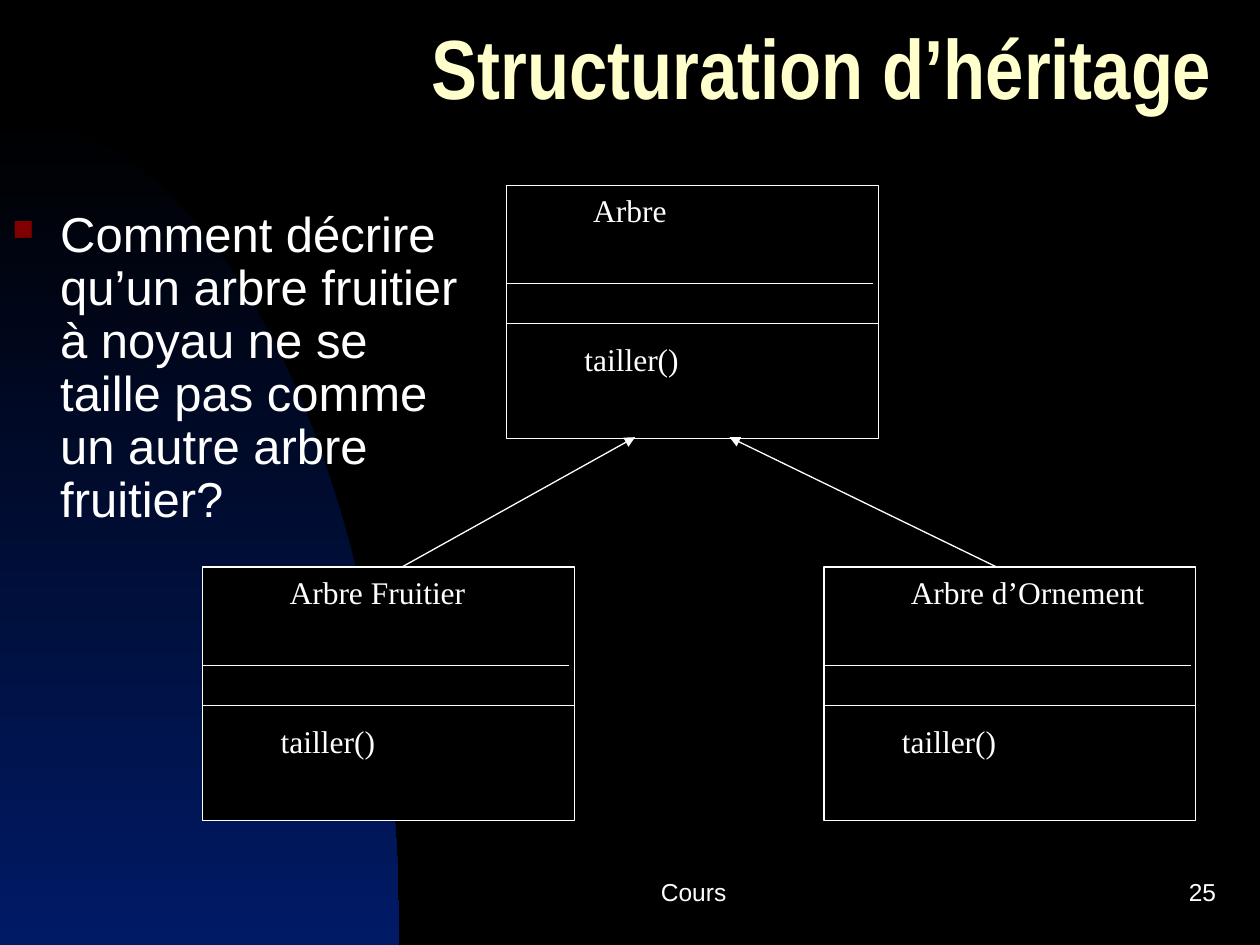
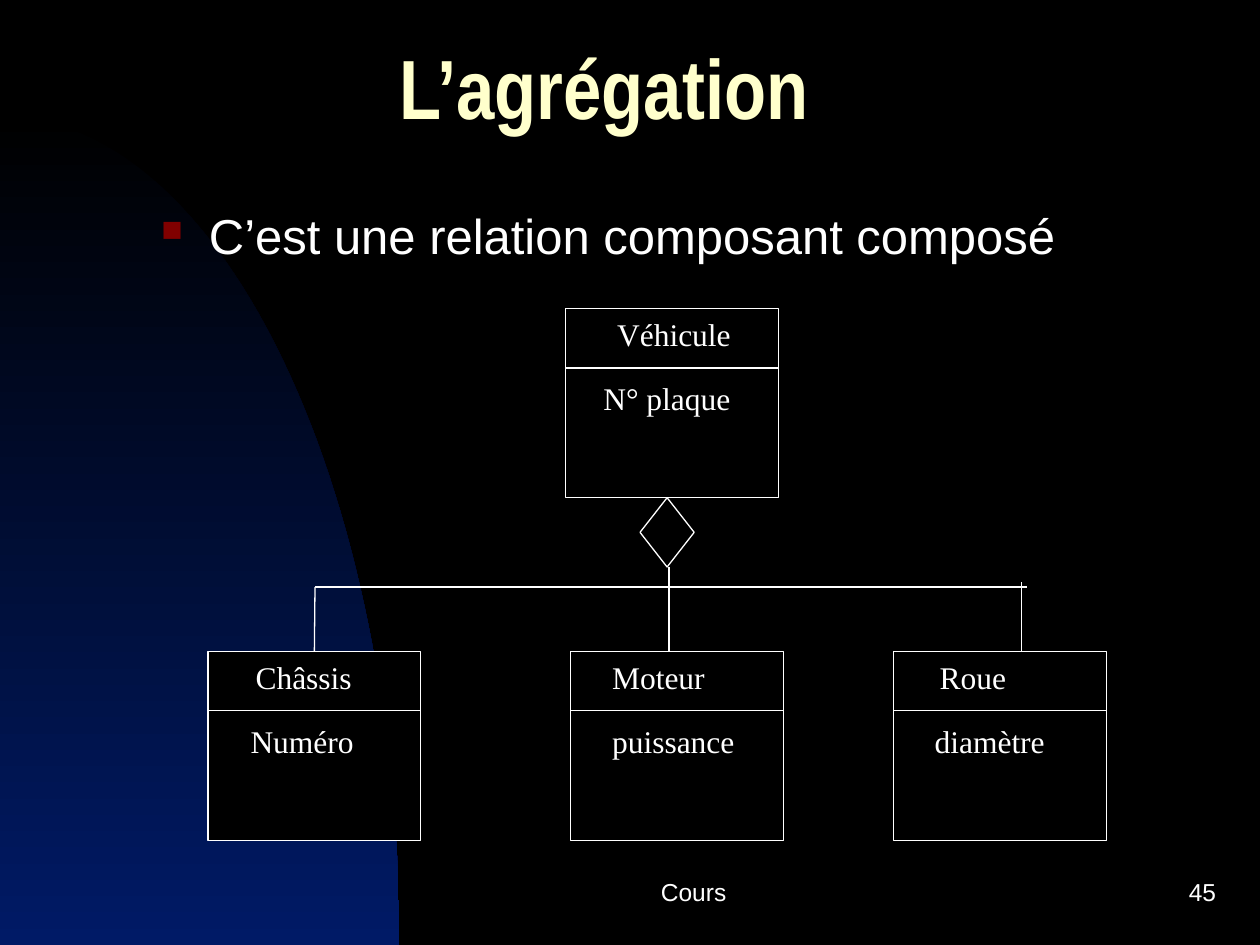
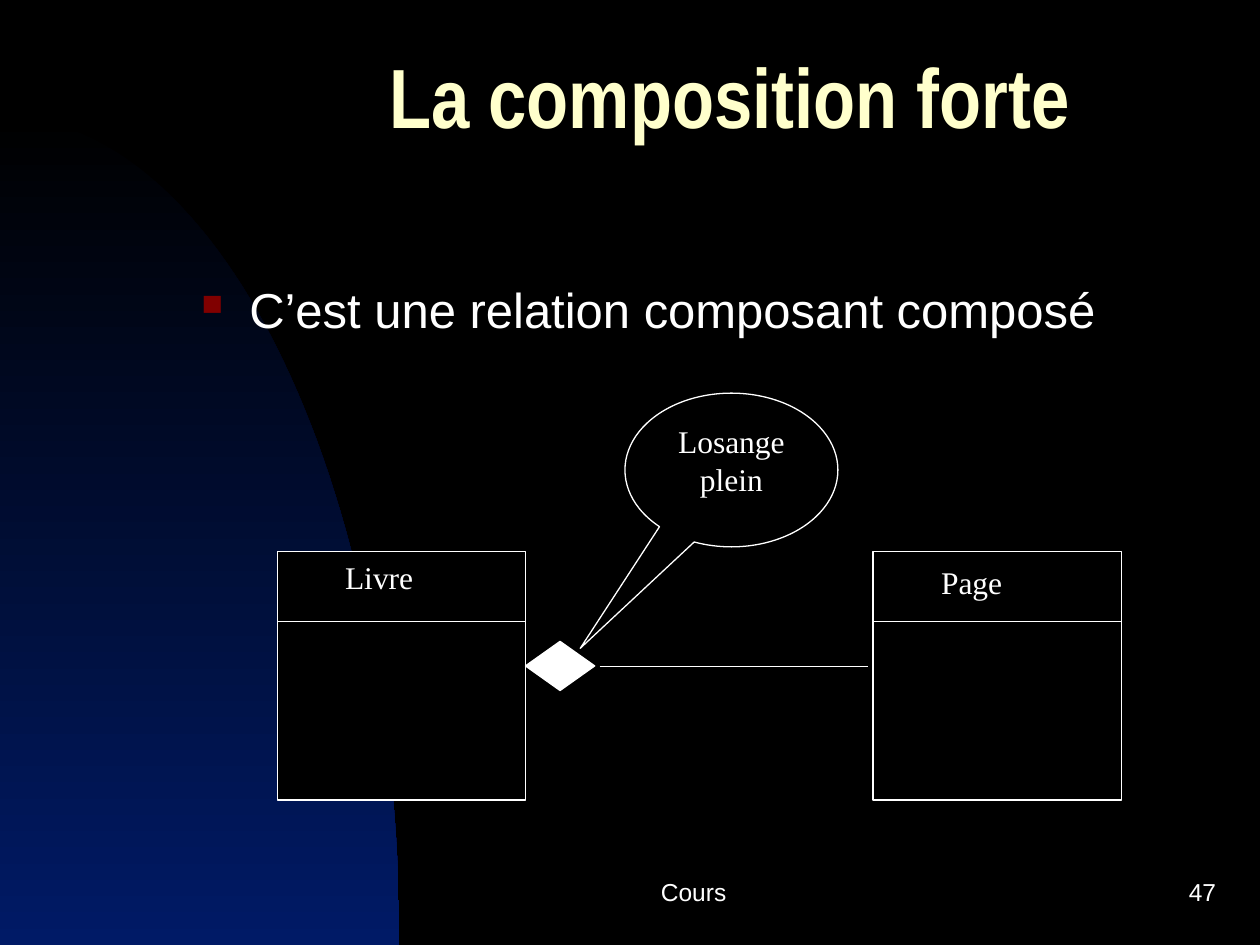
from dataclasses import dataclass
from math import cos, pi, sin

from lxml import etree
from pptx import Presentation
from pptx.dml.color import RGBColor
from pptx.enum.shapes import MSO_CONNECTOR as Connector, MSO_SHAPE as Preset
from pptx.enum.text import MSO_ANCHOR as Anchor, PP_ALIGN as Align
from pptx.oxml.ns import qn
from pptx.util import Inches, Pt


@dataclass(frozen=True)
class Theme:
    black: str = "000000"
    white: str = "FFFFFF"
    title: str = "FFFFCC"
    bullet: str = "800000"
    glow: str = "001A66"
    title_font: str = "Arial Narrow"
    body_font: str = "Arial"
    label_font: str = "Times New Roman"
    title_size: int = 48
    body_size: int = 28
    label_size: int = 18
    footer_size: int = 14
    line_width: float = 0.75


THEME = Theme()
FOOTER = "Cours"
BULLET_INDENT = Inches(0.38)


def rgb(color):
    return RGBColor.from_string(color)


def inches(*values):
    return [Inches(value) for value in values]


# Basic parts
def style_text(frame, text, font, size, color=THEME.white, bold=False, align=Align.LEFT):
    frame.word_wrap = True
    frame.text = text
    para = frame.paragraphs[0]
    para.alignment = align
    for span in para.runs:
        span.font.name = font
        span.font.size = Pt(size)
        span.font.bold = bold
        span.font.color.rgb = rgb(color)
    return para


def add_text(page, box, text, font, size, anchor=Anchor.TOP, **style):
    frame = page.shapes.add_textbox(*inches(*box)).text_frame
    frame.vertical_anchor = anchor
    return style_text(frame, text, font, size, **style)


def add_outline(page, preset, box, fill=THEME.black):
    shape = page.shapes.add_shape(preset, *inches(*box))
    shape.shadow.inherit = False
    if fill:
        shape.fill.solid()
        shape.fill.fore_color.rgb = rgb(fill)
    else:
        shape.fill.background()
    shape.line.color.rgb = rgb(THEME.white)
    shape.line.width = Pt(THEME.line_width)
    return shape


def add_line(page, start, end, arrow=False):
    line = page.shapes.add_connector(Connector.STRAIGHT, *inches(*start, *end))
    line.line.color.rgb = rgb(THEME.white)
    line.line.width = Pt(THEME.line_width)
    if arrow:
        etree.SubElement(line.line._get_or_add_ln(), qn("a:tailEnd"), type="triangle")
    etree.SubElement(line._element.spPr, qn("a:effectLst"))
    return line


# Shared page regions
def draw_backdrop(page):
    page.background.fill.solid()
    page.background.fill.fore_color.rgb = rgb(THEME.black)
    radius_x, top, bottom, steps = 3.17, 0.92, 7.5, 60
    angles = [pi / 2 * step / steps for step in range(steps + 1)]
    arc = [inches(radius_x * sin(angle), bottom - (bottom - top) * cos(angle))
           for angle in angles]
    builder = page.shapes.build_freeform(*arc[0])
    builder.add_line_segments(arc[1:] + [inches(0, bottom)], close=True)
    curve = builder.convert_to_shape()
    curve.shadow.inherit = False
    curve.line.fill.background()
    curve.fill.gradient()
    curve.fill.gradient_angle = 270
    for stop, color, position in zip(curve.fill.gradient_stops,
                                     (THEME.black, THEME.glow), (0, 1)):
        stop.color.rgb = rgb(color)
        stop.position = position


def draw_title(page, box, text):
    para = add_text(page, box, text, THEME.title_font, THEME.title_size,
                    anchor=Anchor.MIDDLE, color=THEME.title, bold=True)
    para.line_spacing = 0.7


def draw_bullet(page, box, text, line_spacing=1.0):
    para = add_text(page, box, text, THEME.body_font, THEME.body_size)
    props = para._p.get_or_add_pPr()
    props.set("marL", str(BULLET_INDENT))
    props.set("indent", str(-BULLET_INDENT))
    color = etree.SubElement(props, qn("a:buClr"))
    etree.SubElement(color, qn("a:srgbClr"), val=THEME.bullet)
    etree.SubElement(props, qn("a:buSzPct"), val="60000")
    etree.SubElement(props, qn("a:buChar"), char="■")
    para.line_spacing = line_spacing


def draw_footer(page, number):
    for box, text, align in (((3.92, 6.83, 3.17, 0.5), FOOTER, Align.CENTER),
                             ((7.67, 6.83, 2.08, 0.5), str(number), Align.RIGHT)):
        add_text(page, box, text, THEME.body_font, THEME.footer_size,
                 anchor=Anchor.MIDDLE, align=align)


def start_page(deck, number, title, title_box, bullet, bullet_box, line_spacing=1.0):
    page = deck.slides.add_slide(deck.slide_layouts[6])
    draw_backdrop(page)
    draw_title(page, title_box, title)
    draw_bullet(page, bullet_box, bullet, line_spacing)
    draw_footer(page, number)
    return page


# Class box: dividers are (offset, length), labels are (text, left, top, width)
def draw_class(page, box, dividers, labels):
    left, top = box[:2]
    frame = add_outline(page, Preset.RECTANGLE, box)
    for offset, length in dividers:
        add_line(page, (left, top + offset), (left + length, top + offset))
    for text, label_left, label_top, width in labels:
        add_text(page, (left + label_left, top + label_top, width, 0.4), text,
                 THEME.label_font, THEME.label_size)
    return frame


def build_inheritance(deck):
    page = start_page(
        deck, 25, "Structuration d’héritage", (3.33, 0, 6.67, 1.25),
        "Comment décrire qu’un arbre fruitier à noyau ne se taille pas comme "
        "un autre arbre fruitier?", (0, 1.62, 3.74, 2.64), line_spacing=0.9)
    width, height = 2.95, 2.01
    for name, left, top in (("Arbre", 4.02, 1.47),
                            ("Arbre Fruitier", 1.61, 4.5),
                            ("Arbre d’Ornement", 6.54, 4.5)):
        draw_class(page, (left, top, width, height),
                   [(0.78, 2.91), (1.1, width)],
                   [(name, 0.59, 0, 2.09), ("tailler()", 0.52, 1.18, 2.16)])
    # Inheritance arrows
    for child_x, parent_x in ((3.19, 5.04), (7.91, 5.79)):
        add_line(page, (child_x, 4.5), (parent_x, 3.47), arrow=True)


def build_aggregation(deck):
    page = start_page(
        deck, 45, "L’agrégation", (3.07, 0.32, 6.67, 0.92),
        "C’est une relation composant composé", (1.18, 1.58, 8.49, 0.76))
    width, height, part_top = 1.69, 1.5, 5.17
    frames = {}
    for name, field, left, top, name_left, field_left in (
            ("Véhicule", "N° plaque", 4.49, 2.45, 0.31, 0.2),
            ("Châssis", "Numéro", 1.65, part_top, 0.28, 0.24),
            ("Moteur", "puissance", 4.53, part_top, 0.23, 0.23),
            ("Roue", "diamètre", 7.09, part_top, 0.27, 0.23)):
        frames[name] = draw_class(page, (left, top, width, height), [(0.47, width)],
                                  [(name, name_left, 0, 1.26),
                                   (field, field_left, 0.51, 1.3)])
    # Hollow diamond and the branches to the parts
    add_outline(page, Preset.FLOWCHART_DECISION, (5.08, 3.95, 0.43, 0.55), fill=None)
    rail = 4.66
    add_line(page, (2.5, rail), (8.15, rail))
    add_line(page, (5.31, 4.5), (5.31, part_top))
    add_line(page, (8.11, 4.62), (8.11, part_top))
    branch = add_line(page, (2.5, rail), (2.5, part_top))
    branch.end_connect(frames["Châssis"], 0)


def build_composition(deck):
    page = start_page(
        deck, 47, "La composition forte", (2.99, 0.32, 6.67, 1.07),
        "C’est une relation composant composé", (1.5, 2.17, 8.25, 0.95))
    side = 1.97
    for name, left, name_top in (("Livre", 2.2, 0), ("Page", 6.93, 0.04)):
        draw_class(page, (left, 4.38, side, side), [(0.55, side)],
                   [(name, 0.44, name_top, 1.22)])
    # Solid diamond and its link
    add_outline(page, Preset.DIAMOND, (4.17, 5.09, 0.55, 0.39), fill=THEME.white)
    add_line(page, (4.76, 5.29), (6.89, 5.29))
    # Callout
    callout = add_outline(page, Preset.OVAL_CALLOUT, (4.96, 3.12, 1.69, 1.22))
    callout.adjustments[0], callout.adjustments[1] = -0.71, 1.16
    callout.text_frame.vertical_anchor = Anchor.TOP
    style_text(callout.text_frame, "Losange plein", THEME.label_font,
               THEME.label_size, align=Align.CENTER)


def main():
    deck = Presentation()
    deck.slide_width, deck.slide_height = inches(10, 7.5)
    build_inheritance(deck)
    build_aggregation(deck)
    build_composition(deck)
    deck.save("out.pptx")


if __name__ == "__main__":
    main()
